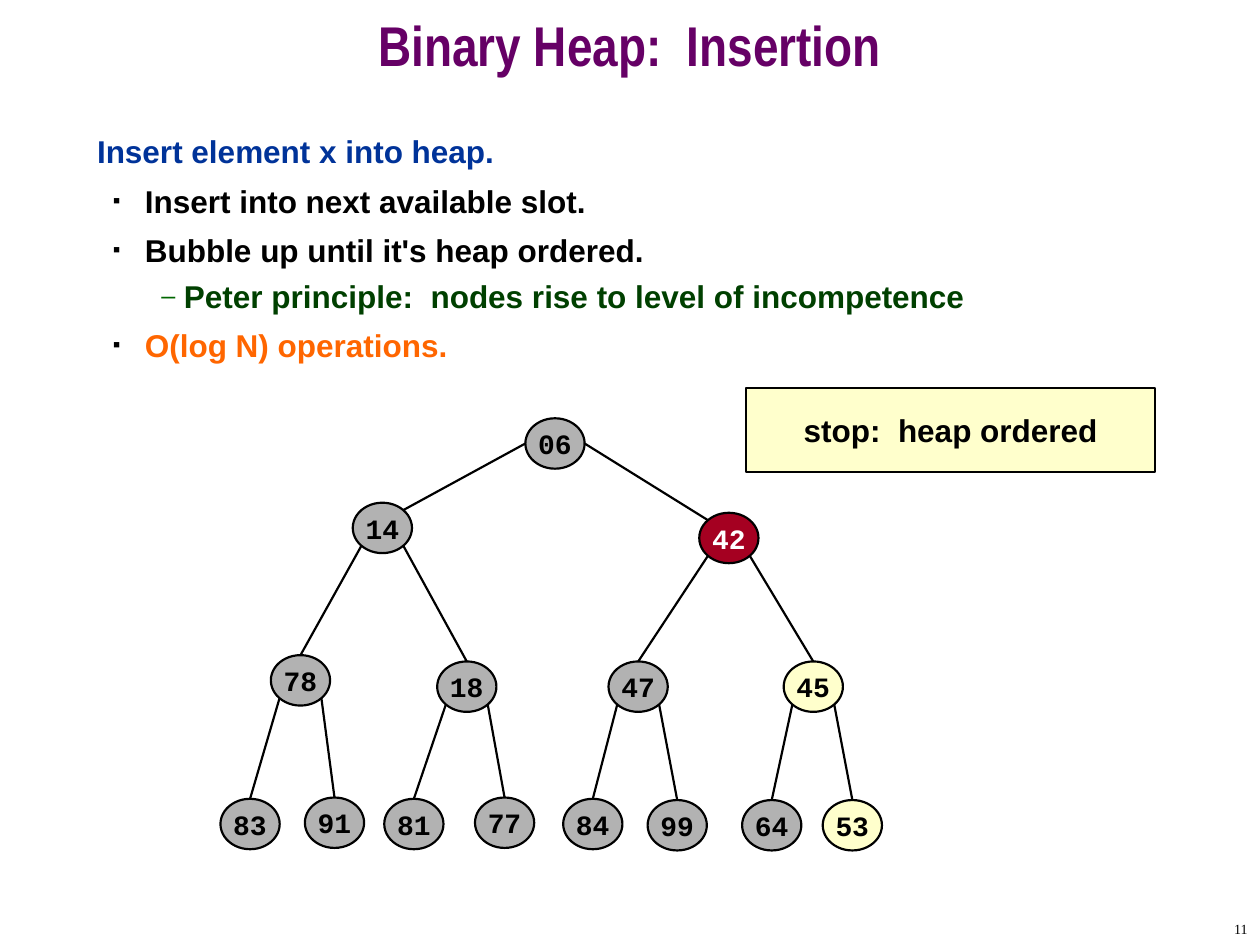
from dataclasses import dataclass
from math import sqrt

from lxml.etree import SubElement
from pptx import Presentation
from pptx.dml.color import RGBColor
from pptx.enum.shapes import MSO_CONNECTOR, MSO_SHAPE
from pptx.enum.text import MSO_ANCHOR, MSO_AUTO_SIZE, PP_ALIGN
from pptx.oxml.ns import qn
from pptx.util import Inches, Pt

BLACK, WHITE, GRAY, YELLOW, RED = "000000", "FFFFFF", "B2B2B2", "FFFFCC", "A50021"
NODE_W, NODE_H = 0.47, 0.4
LINE_WIDTH = Pt(1.25)


@dataclass
class Node:
    key: str
    left: float
    top: float
    fill: str = GRAY
    ink: str = BLACK

    def point(self, dx: float, dy: float) -> tuple[float, float]:
        """Point on the outline in the direction (dx, dy)."""
        scale = sqrt(dx * dx + dy * dy) * 2
        return (self.left + NODE_W * (0.5 + dx / scale),
                self.top + NODE_H * (0.5 + dy / scale))


@dataclass
class Item:
    text: str
    color: str
    level: int = 0
    margin: float = 0
    indent: float = 0
    spacing: float = 1.0
    bullet: str = ""
    bullet_color: str = BLACK
    bullet_percent: int = 100


def rgb(color: str) -> RGBColor:
    return RGBColor.from_string(color)


def format_runs(paragraph, size: float, font: str, color: str, bold: bool = True) -> None:
    for run in paragraph.runs:
        run.font.size = Pt(size)
        run.font.name = font
        run.font.bold = bold
        run.font.color.rgb = rgb(color)


def place(shape, left: float, top: float, width: float, height: float) -> None:
    shape.left, shape.top = Inches(left), Inches(top)
    shape.width, shape.height = Inches(width), Inches(height)


def set_bullet(paragraph, item: Item) -> None:
    props = paragraph._p.get_or_add_pPr()
    props.set("marL", str(Inches(item.margin)))
    props.set("indent", str(Inches(item.indent)))
    if not item.bullet:
        SubElement(props, qn("a:buNone"))
        return
    color = SubElement(props, qn("a:buClr"))
    SubElement(color, qn("a:srgbClr"), val=item.bullet_color)
    SubElement(props, qn("a:buSzPct"), val=str(item.bullet_percent * 1000))
    SubElement(props, qn("a:buFont"), typeface="Arial")
    SubElement(props, qn("a:buChar"), char=item.bullet)


def draw_list(frame, items: list[Item]) -> None:
    for index, item in enumerate(items):
        paragraph = frame.add_paragraph() if index else frame.paragraphs[0]
        paragraph.text = item.text
        paragraph.level = item.level
        set_bullet(paragraph, item)
        paragraph.line_spacing = item.spacing
        paragraph.space_before = Pt(4.5 if index else 0)
        format_runs(paragraph, 18, "Arial", item.color)


def draw_label(shapes, kind, box: tuple, text: str, size: float, font: str,
               fill: str, ink: str = BLACK) -> None:
    shape = shapes.add_shape(kind, *map(Inches, box))
    shape.shadow.inherit = False
    shape.fill.solid()
    shape.fill.fore_color.rgb = rgb(fill)
    shape.line.color.rgb = rgb(BLACK)
    shape.line.width = LINE_WIDTH
    frame = shape.text_frame
    frame.text = text
    frame.word_wrap = False
    frame.vertical_anchor = MSO_ANCHOR.MIDDLE
    frame.paragraphs[0].alignment = PP_ALIGN.CENTER
    format_runs(frame.paragraphs[0], size, font, ink)


def draw_edge(shapes, start: tuple, end: tuple) -> None:
    edge = shapes.add_connector(MSO_CONNECTOR.STRAIGHT, *map(Inches, start + end))
    edge.line.color.rgb = rgb(BLACK)
    edge.line.width = LINE_WIDTH
    SubElement(edge._element.spPr, qn("a:effectLst"))


def draw_heap(shapes, nodes: list[Node]) -> None:
    # The parent of node i is node (i - 1) // 2; odd nodes are left children
    for index, child in enumerate(nodes[1:], start=1):
        parent = nodes[(index - 1) // 2]
        side = -1 if index % 2 else 1
        if parent is nodes[0]:
            draw_edge(shapes, parent.point(side, 0), child.point(-side, -1))
        else:
            draw_edge(shapes, parent.point(side, 1), child.point(0, -1))
    for node in nodes:
        draw_label(shapes, MSO_SHAPE.OVAL, (node.left, node.top, NODE_W, NODE_H),
                   node.key, 16, "Courier New", node.fill, node.ink)


def step(text: str, color: str = BLACK) -> Item:
    return Item(text, color, 1, 0.38, -0.25, 1.1, "■", BLACK, 35)


INSERTION_STEPS = [
    Item("Insert element x into heap.", "003399"),
    step("Insert into next available slot."),
    step("Bubble up until it's heap ordered."),
    Item("Peter principle:  nodes rise to level of incompetence", "004000",
         2, 0.69, -0.18, 1.0, "–", "006600", 80),
    step("O(log N) operations.", "FF6600"),
]

# Level by level, left to right
HEAP = [
    Node("06", 4.17, 3.32),
    Node("14", 2.8, 3.99), Node("42", 5.55, 4.07, RED, WHITE),
    Node("78", 2.15, 5.2), Node("18", 3.47, 5.25),
    Node("47", 4.83, 5.25), Node("45", 6.22, 5.25, YELLOW),
    Node("83", 1.75, 6.34), Node("91", 2.42, 6.33),
    Node("81", 3.05, 6.34), Node("77", 3.77, 6.33),
    Node("84", 4.47, 6.34), Node("99", 5.14, 6.35),
    Node("64", 5.89, 6.35), Node("53", 6.53, 6.35, YELLOW),
]


def main() -> None:
    deck = Presentation()
    deck.slide_width, deck.slide_height = Inches(10), Inches(7.5)
    slide = deck.slides.add_slide(deck.slide_layouts[1])
    shapes = slide.shapes

    # Title
    title = shapes.title
    place(title, 0, 0, 10, 0.83)
    title.text_frame.text = "Binary Heap:  Insertion"
    title.text_frame.auto_size = MSO_AUTO_SIZE.NONE
    title.text_frame.vertical_anchor = MSO_ANCHOR.MIDDLE
    heading = title.text_frame.paragraphs[0]
    heading.alignment = PP_ALIGN.CENTER
    heading.line_spacing = 0.7
    format_runs(heading, 32, "Arial Narrow", "660066")

    # Insertion steps
    body = slide.placeholders[1]
    place(body, 0.67, 1, 8.58, 5.92)
    body.text_frame.auto_size = MSO_AUTO_SIZE.NONE
    draw_list(body.text_frame, INSERTION_STEPS)

    # Heap and its state
    draw_heap(shapes, HEAP)
    draw_label(shapes, MSO_SHAPE.RECTANGLE, (5.92, 3.08, 3.25, 0.67),
               "stop:  heap ordered", 18, "Arial", YELLOW)

    # Page number
    page_number = shapes.add_textbox(*map(Inches, (7.92, 7.25, 2.08, 0.25))).text_frame
    page_number.word_wrap = True
    page_number.vertical_anchor = MSO_ANCHOR.MIDDLE
    page_number.text = "11"
    page_number.paragraphs[0].alignment = PP_ALIGN.RIGHT
    format_runs(page_number.paragraphs[0], 8, "Times New Roman", BLACK, bold=False)

    deck.save("out.pptx")


if __name__ == "__main__":
    main()
